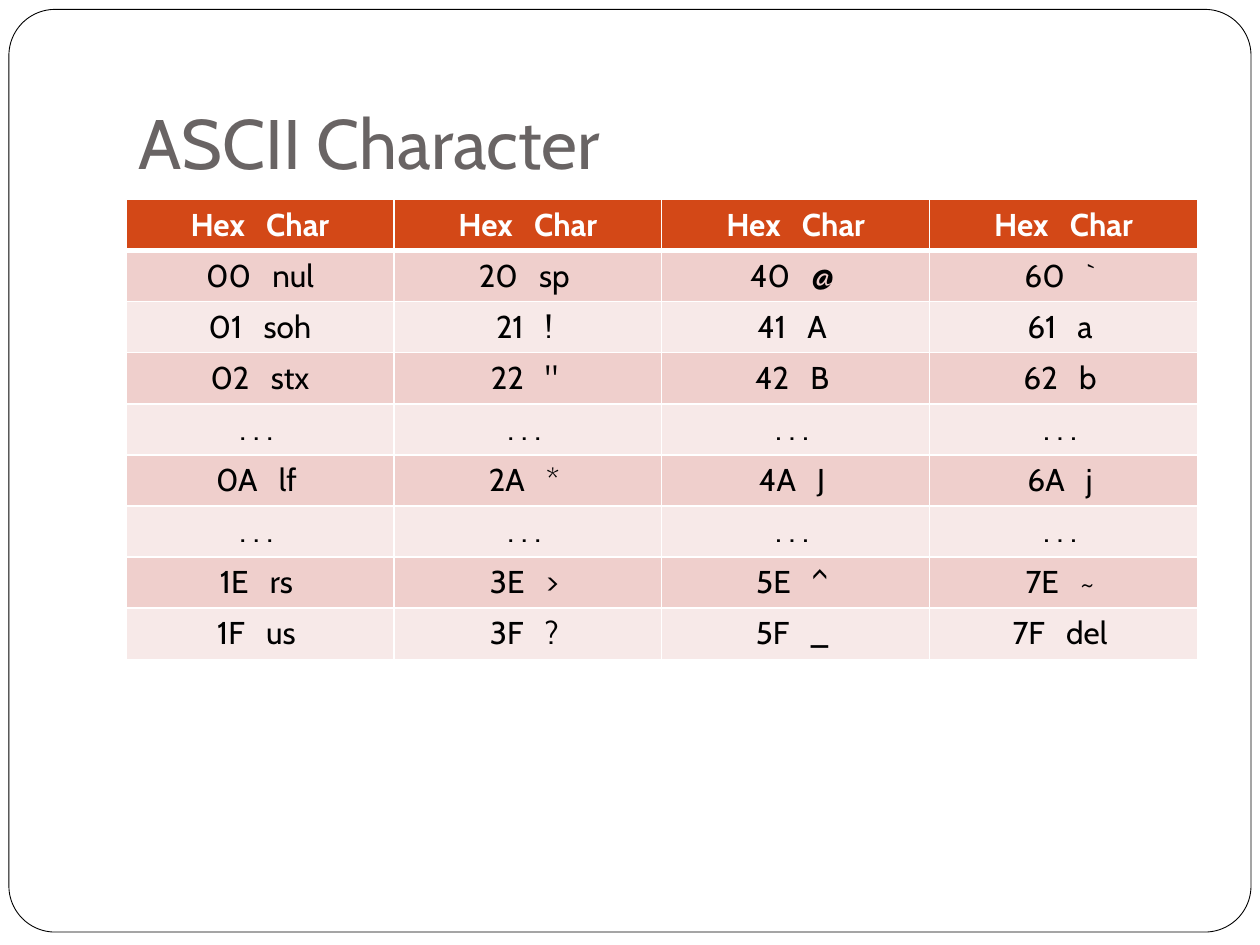
from dataclasses import dataclass

from lxml.etree import SubElement
from pptx import Presentation
from pptx.dml.color import RGBColor
from pptx.enum.shapes import MSO_SHAPE
from pptx.enum.text import MSO_ANCHOR, PP_ALIGN
from pptx.oxml.ns import qn
from pptx.util import Cm, Pt


@dataclass(frozen=True)
class Theme:
    font: str = "Cabin"
    paper: str = "FFFFFF"
    frame: str = "000000"
    title: str = "696464"
    header: str = "D34817"
    bands: tuple = ("EFCFCC", "F7E9E8")
    body: str = "000000"
    title_size: int = 40
    body_size: int = 18


class SlideBuilder:
    def __init__(self, slide, theme):
        self.slide = slide
        self.theme = theme

    def style(self, paragraph, size, color, bold=False):
        font = paragraph.font
        font.name = self.theme.font
        font.size = Pt(size)
        font.bold = bold
        font.color.rgb = RGBColor.from_string(color)

    def frame(self, left, top, width, height, rounding):
        frame = self.slide.shapes.add_shape(
            MSO_SHAPE.ROUNDED_RECTANGLE, Cm(left), Cm(top), Cm(width), Cm(height))
        frame.adjustments[0] = rounding
        frame.shadow.inherit = False
        frame.fill.solid()
        frame.fill.fore_color.rgb = RGBColor.from_string(self.theme.paper)
        frame.line.color.rgb = RGBColor.from_string(self.theme.frame)
        frame.line.width = Pt(0.5)

    def title(self, text, left, top, width, height):
        box = self.slide.shapes.add_textbox(Cm(left), Cm(top), Cm(width), Cm(height))
        content = box.text_frame
        content.word_wrap = True
        content.vertical_anchor = MSO_ANCHOR.BOTTOM
        content.margin_bottom = Cm(0.25)
        content.text = text
        self.style(content.paragraphs[0], self.theme.title_size, self.theme.title)

    def borders(self, cell, bottom):
        properties = cell._tc.get_or_add_tcPr()
        widths = {"a:lnL": 1, "a:lnR": 1, "a:lnT": 1, "a:lnB": bottom}
        for position, (side, width) in enumerate(widths.items()):
            line = properties.makeelement(qn(side), {"w": str(Pt(width))})
            fill = SubElement(line, qn("a:solidFill"))
            SubElement(fill, qn("a:srgbClr"), val=self.theme.paper)
            properties.insert(position, line)

    def cell(self, cell, text, fill, color, bold, bottom):
        cell.text = text
        cell.vertical_anchor = MSO_ANCHOR.MIDDLE
        cell.fill.solid()
        cell.fill.fore_color.rgb = RGBColor.from_string(fill)
        paragraph = cell.text_frame.paragraphs[0]
        paragraph.alignment = PP_ALIGN.CENTER
        self.style(paragraph, self.theme.body_size, color, bold)
        self.borders(cell, bottom)

    def table(self, rows, left, top, column_width, row_height):
        count = len(rows[0])
        table = self.slide.shapes.add_table(
            len(rows), count, Cm(left), Cm(top),
            Cm(column_width * count), Cm(row_height * len(rows))).table
        for column in table.columns:
            column.width = Cm(column_width)
        for index, row in enumerate(rows):
            table.rows[index].height = Cm(row_height)
            is_header = index == 0
            fill = self.theme.header if is_header else self.theme.bands[(index - 1) % 2]
            color = self.theme.paper if is_header else self.theme.body
            above_body = 3 if is_header else 1
            for position, text in enumerate(row):
                self.cell(table.cell(index, position), text, fill, color,
                          is_header, above_body)


GAP = "\u00a0 \u00a0"
ELLIPSIS = [". . . "] * 4


def code_row(low_digits, *characters):
    return [f"{code + low_digits:02X}{GAP}{character}"
            for code, character in zip(range(0, 128, 32), characters)]


ascii_rows = [
    [f"Hex{GAP}Char"] * 4,
    code_row(0x00, "nul", "sp ", "@ ", "` "),
    code_row(0x01, "soh", "! ", "A ", "a "),
    code_row(0x02, "stx", '" ', "B ", "b "),
    ELLIPSIS,
    code_row(0x0A, "lf ", "* ", "J ", "j "),
    ELLIPSIS,
    code_row(0x1E, "rs ", "> ", "^ ", "~ "),
    code_row(0x1F, "us ", "? ", "_ ", "del "),
]

presentation = Presentation()
presentation.slide_width = Cm(25.4)
presentation.slide_height = Cm(19.05)
ascii_slide = presentation.slides.add_slide(presentation.slide_layouts[6])

builder = SlideBuilder(ascii_slide, Theme())
builder.frame(0.18, 0.19, 25.04, 18.6, 0.05)
builder.title("ASCII Character", 2.54, 0.76, 21.59, 3.18)
builder.table(ascii_rows, 2.54, 4.02, 5.4, 1.03)
presentation.save("out.pptx")
